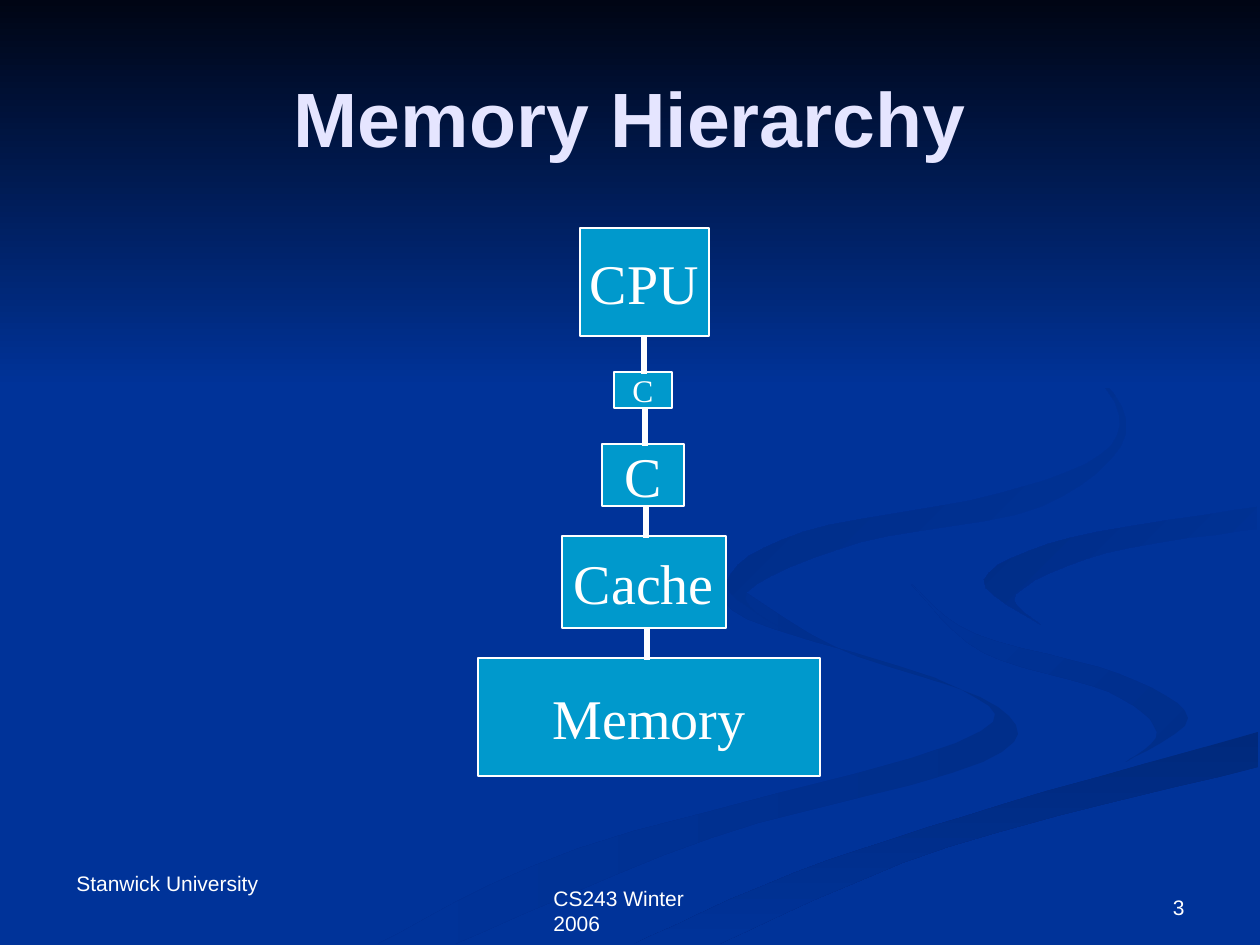
from lxml.etree import SubElement
from pptx import Presentation
from pptx.dml.color import RGBColor
from pptx.enum.shapes import MSO_CONNECTOR, MSO_SHAPE
from pptx.enum.text import MSO_ANCHOR, PP_ALIGN
from pptx.oxml.ns import qn
from pptx.util import Pt

EMU_PER_PX = 914400 / 126
WHITE, NAVY, BOX_BLUE = "FFFFFF", "003399", "0099CC"
CURVE_STEPS = 6

# Background ribbons: start colour, end colour, clockwise angle, two edges
RIBBONS = [
    ("002E8A", NAVY, 180,
     [(725, 578), (747, 619), (960, 689), (956, 743), (577, 849), (378, 944)],
     [(455, 944), (711, 838), (983, 762), (998, 707), (833, 646), (725, 578)]),
    ("002E8A", NAVY, 225,
     [(912, 585), (975, 634), (1119, 674), (1188, 718), (1126, 762)],
     [(1126, 762), (1157, 732), (1109, 692), (984, 653), (912, 585)]),
    ("00297C", NAVY, 90,
     [(634, 944), (794, 873), (1004, 804), (1258, 732)],
     [(1258, 767), (948, 847), (719, 944)]),
    (NAVY, "002C85", 225,
     [(1257, 507), (1070, 538), (984, 580), (1041, 625)],
     [(1041, 625), (1016, 594), (1106, 553), (1257, 529)]),
    (NAVY, "002B81", 225,
     [(960, 294), (1076, 357), (1126, 433), (1040, 507), (861, 542),
      (747, 592), (784, 630)],
     [(784, 630), (727, 582), (803, 532), (997, 494), (1111, 446),
      (1096, 377), (960, 294)]),
]

# Memory levels: label, font size, left, top, width, height
LEVELS = [
    ("CPU", 32, 580, 228, 129, 108),
    ("C", 18, 614, 372, 58, 36),
    ("C", 32, 602, 444, 82, 62),
    ("Cache", 32, 562, 536, 164, 92),
    ("Memory", 32, 478, 658, 342, 118),
]


def px(length):
    return round(length * EMU_PER_PX)


def rgb(hex_colour):
    return RGBColor.from_string(hex_colour)


def write(shape, text, size, font="Arial", colour=WHITE, bold=False,
          align=PP_ALIGN.LEFT, anchor=MSO_ANCHOR.TOP, wrap=True):
    frame = shape.text_frame
    frame.word_wrap = wrap
    frame.vertical_anchor = anchor
    paragraph = frame.paragraphs[0]
    paragraph.text = text
    paragraph.alignment = align
    paragraph.font.name = font
    paragraph.font.size = Pt(size)
    paragraph.font.bold = bold
    paragraph.font.color.rgb = rgb(colour)


def shade(shape, start, end, clockwise_angle):
    shape.shadow.inherit = False
    shape.line.fill.background()
    shape.fill.gradient()
    shape.fill.gradient_angle = 360 - clockwise_angle
    for stop, colour in zip(shape.fill.gradient_stops, (start, end)):
        stop.color.rgb = rgb(colour)


def blend(a, b, c, d, t):
    """Catmull-Rom value between b and c."""
    return b + t / 2 * (c - a + t * (2 * a - 5 * b + 4 * c - d
                                     + t * (3 * (b - c) + d - a)))


def smooth(edge):
    padded = [edge[0], *edge, edge[-1]]
    curve = [
        tuple(blend(*axis, step / CURVE_STEPS) for axis in zip(*knots))
        for knots in zip(padded, padded[1:], padded[2:], padded[3:])
        for step in range(CURVE_STEPS)
    ]
    return curve + [edge[-1]]


def add_ribbon(slide, start, end, angle, *edges):
    outline = [point for edge in edges for point in smooth(edge)]
    builder = slide.shapes.build_freeform(*outline[0], scale=EMU_PER_PX)
    builder.add_line_segments(outline[1:], close=True)
    shade(builder.convert_to_shape(), start, end, angle)


def add_rectangle(slide, *bounds):
    return slide.shapes.add_shape(MSO_SHAPE.RECTANGLE, *map(px, bounds))


def add_level(slide, label, size, *bounds):
    level = add_rectangle(slide, *bounds)
    level.shadow.inherit = False
    level.fill.solid()
    level.fill.fore_color.rgb = rgb(BOX_BLUE)
    level.line.color.rgb = rgb(WHITE)
    level.line.width = Pt(1)
    write(level, label, size, "Times New Roman", align=PP_ALIGN.CENTER,
          anchor=MSO_ANCHOR.MIDDLE, wrap=False)


def add_link(slide, x, top, bottom):
    link = slide.shapes.add_connector(
        MSO_CONNECTOR.STRAIGHT, px(x), px(top), px(x), px(bottom))
    link.line.color.rgb = rgb(WHITE)
    link.line.width = Pt(3)
    SubElement(link._element.spPr, qn("a:effectLst"))


def add_note(slide, text, bounds, **style):
    write(slide.shapes.add_textbox(*map(px, bounds)), text, 12, **style)


def place_title(slide, text):
    title = slide.shapes.title
    title.left, title.top, title.width, title.height = map(px, (63, 38, 1134, 157))
    write(title, text, 44, colour="E5E5FF", bold=True,
          align=PP_ALIGN.CENTER, anchor=MSO_ANCHOR.MIDDLE)
    # Bring the title in front of the backdrop
    slide.shapes._spTree.append(title._element)


def main():
    deck = Presentation()
    deck.slide_width, deck.slide_height = px(1260), px(945)
    slide = deck.slides.add_slide(deck.slide_layouts[5])

    # Backdrop
    slide.background.fill.solid()
    slide.background.fill.fore_color.rgb = rgb(NAVY)
    for ribbon in RIBBONS:
        add_ribbon(slide, *ribbon)
    shade(add_rectangle(slide, 0, 0, 1260, 388), "000514", NAVY, 90)

    # Footer
    add_note(slide, "CS243 Winter 2006", (541, 879, 208, 38), wrap=False)
    add_note(slide, "Stanwick University", (64, 864, 237, 38))

    place_title(slide, "Memory Hierarchy")

    # Hierarchy: each link runs from one level's bottom into the next
    for level in LEVELS:
        add_level(slide, *level)
    for index, (upper, lower) in enumerate(zip(LEVELS, LEVELS[1:])):
        upper_top, upper_height = upper[3], upper[5]
        add_link(slide, 644 + index, upper_top + upper_height, lower[3] + 2)

    # Slide number
    add_note(slide, "3", (903, 861, 294, 65),
             align=PP_ALIGN.RIGHT, anchor=MSO_ANCHOR.BOTTOM)

    deck.save("out.pptx")


if __name__ == "__main__":
    main()
